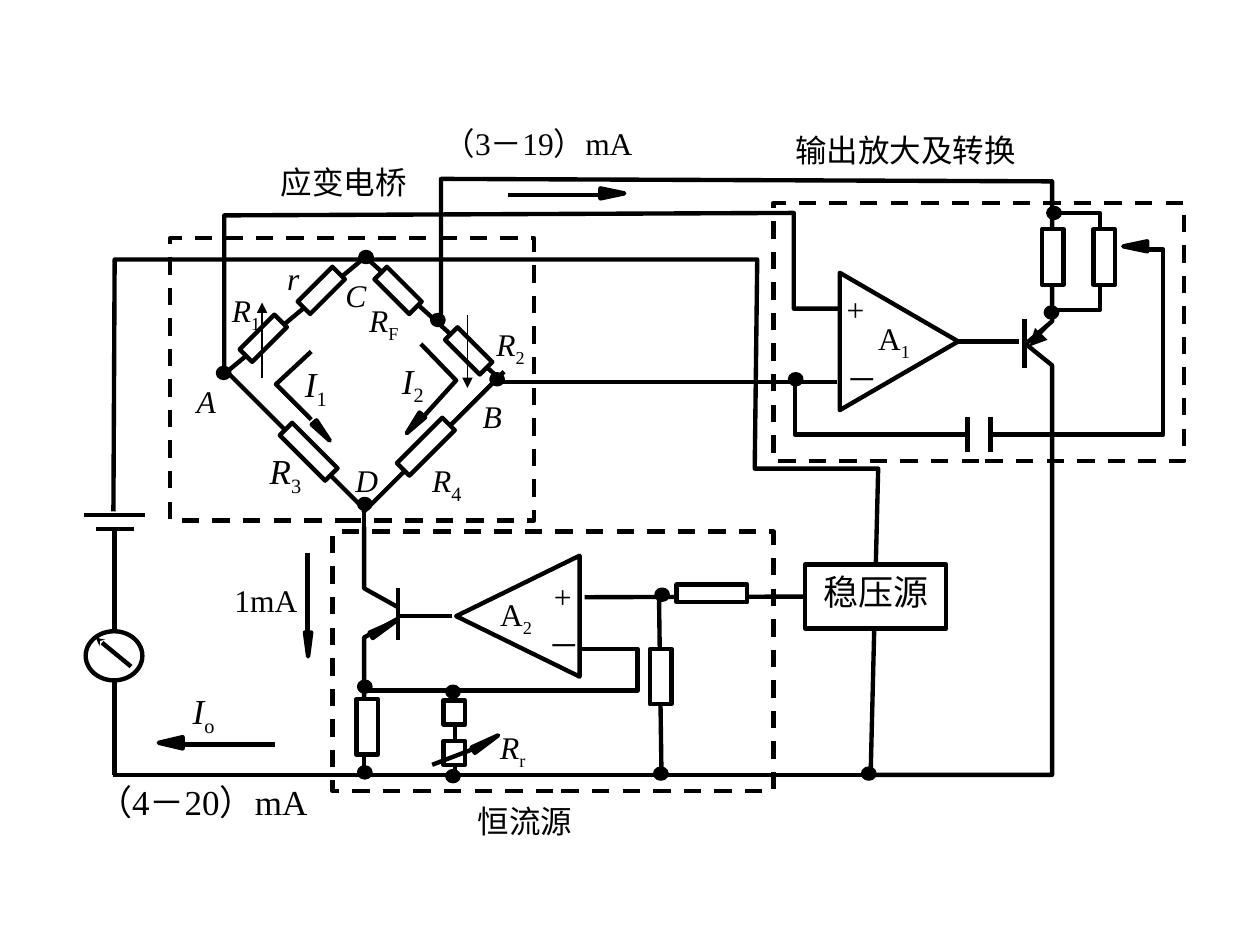
"""Draw the two-wire strain-bridge current transmitter circuit on one slide."""
from dataclasses import dataclass
from typing import NamedTuple, Optional

from pptx import Presentation
from pptx.dml.color import RGBColor
from pptx.enum.dml import MSO_LINE
from pptx.enum.shapes import MSO_CONNECTOR, MSO_SHAPE as Preset
from pptx.enum.text import MSO_ANCHOR, PP_ALIGN as Align
from pptx.oxml.ns import qn
from pptx.oxml.xmlchemy import OxmlElement
from pptx.util import Inches, Pt

BLACK = RGBColor(0, 0, 0)
WHITE = RGBColor(255, 255, 255)
FONT = "Times New Roman"
THICK, THIN = 2.5, 0.75


class Wire(NamedTuple):
    start: tuple
    end: tuple
    width: float = THICK
    head: str = ""
    head_size: str = "med"


class Part(NamedTuple):
    left: float
    top: float
    width: float
    height: float
    rotation: float = 0


@dataclass
class Label:
    left: float
    top: float
    width: float
    height: float
    text: str
    sub: str = ""
    size: float = 18
    italic: bool = False
    sub_size: Optional[float] = None
    align: Align = Align.JUSTIFY
    spacing: Optional[float] = None


def symbol(left: float, top: float, text: str, sub: str = "", width: float = 0.36,
           height: float = 0.34, **style) -> Label:
    return Label(left, top, width, height, text, sub, italic=True, **style)


def caption(left: float, top: float, width: float, text: str, size: float = 18) -> Label:
    return Label(left, top, width, 0.32, text, size=size, spacing=0.8)


TRACES = [
    [(8.41, 1.69), (8.73, 1.69), (8.73, 2.46), (8.37, 2.46)],
    [(3.5, 2.51), (3.5, 1.42), (8.35, 1.44), (8.35, 2.55), (8.14, 2.73), (8.35, 2.9),
     (8.35, 6.15), (6.91, 6.15), (6.97, 3.72), (5.99, 3.72), (6.01, 2.06), (0.91, 2.06),
     (0.9, 4.06)],
    [(6.66, 2.45), (6.3, 2.45), (6.3, 1.69), (1.78, 1.71), (1.78, 2.92)],
    [(4.62, 5.15), (5.06, 5.15), (5.06, 5.48), (2.89, 5.48), (2.89, 6.1)],
    [(2.89, 5.55), (2.89, 5.06), (3.16, 4.91)],
    [(2.89, 4.18), (2.89, 4.67), (3.16, 4.82)],
    [(6.31, 2.97), (6.31, 3.45), (9.23, 3.45), (9.23, 1.98), (9.03, 1.98)],
    [(3.34, 2.73), (3.62, 3.02), (3.34, 3.33)],
    [(2.47, 2.79), (2.19, 3.05), (2.47, 3.33)],
]
WIRES = [
    Wire((3.61, 5.47), (3.61, 6.16)), Wire((4, 2.95), (2.88, 4.07)),
    Wire((2.18, 5.91), (1.46, 5.91)), Wire((8.13, 2.53), (8.13, 2.92)),
    Wire((7.6, 2.71), (8.09, 2.71)), Wire((7.06, 6.15), (0.9, 6.15)),
    Wire((0.91, 6.15), (0.91, 5.37)), Wire((3.16, 5.08), (3.16, 4.67)),
    Wire((3.59, 4.89), (3.16, 4.89)), Wire((5.23, 4.72), (5.25, 6.15)),
    Wire((3.97, 3.03), (6.64, 3.03)), Wire((2.89, 3.96), (2.89, 4.23)),
    Wire((1.77, 2.92), (2.91, 4.06)), Wire((0.67, 4.09), (1.15, 4.09)),
    Wire((0.76, 4.2), (1.06, 4.2)), Wire((0.91, 4.2), (0.91, 5.01)),
    Wire((2.44, 4.39), (2.44, 5.01)), Wire((4.03, 1.55), (4.76, 1.55)),
    Wire((1.79, 2.96), (2.9, 2.04)), Wire((2.9, 2.04), (3.98, 3.02)),
]
SUPPLY_WIRE = Wire((4.64, 4.74), (6.39, 4.74))
OVERLAID_WIRES = [
    Wire((7.68, 3.59), (7.68, 3.31)), Wire((7.86, 3.59), (7.86, 3.31)),
    Wire((3.43, 6.07), (3.77, 5.94)),
    Wire((1.04, 5.29), (0.76, 5.06), head="stealth", head_size="sm"),
    Wire((2.08, 3), (2.08, 2.4), THIN, "triangle"),
    Wire((3.71, 2.5), (3.71, 3.08), THIN, "triangle"),
    Wire((8.33, 2.58), (8.17, 2.75), THIN, "triangle", "lg"),
]
SUPPLY = Part(6.39, 4.48, 1.12, 0.51)
METER = Part(0.68, 5.01, 0.45, 0.39)
CAPACITOR_GAP = Part(7.68, 3.25, 0.17, 0.44)
AMPLIFIERS = [Part(6.59, 2.24, 1.09, 0.94, 90), Part(3.63, 4.4, 0.96, 0.98, 270)]
STAGES = [Part(2.64, 4.22, 3.5, 2.06), Part(1.35, 1.89, 2.89, 2.24),
          Part(6.14, 1.61, 3.26, 2.05)]
RESISTORS = {
    (0.17, 0.44, 0): [(2.83, 5.55), (5.16, 5.15), (8.27, 1.82), (8.68, 1.82)],
    (0.17, 0.19, 0): [(3.52, 5.56), (3.52, 5.88)],
    (0.14, 0.56, 90): [(5.58, 4.43)],
    (0.14, 0.51, 45): [(3.31, 3.29)],
    (0.14, 0.51, 315): [(2.38, 3.33)],
    (0.14, 0.39, 45): [(2.02, 2.49), (2.48, 2.11)],
    (0.14, 0.39, 315): [(3.09, 2.11), (3.65, 2.59)],
}
ARROWHEADS = [
    Part(1.31, 5.8, 0.09, 0.19, 270), Part(8.97, 1.86, 0.08, 0.19, 270),
    Part(4.82, 1.44, 0.08, 0.19, 90), Part(2.42, 5.02, 0.05, 0.19, 180),
    Part(3.02, 4.87, 0.05, 0.23, 60), Part(3.83, 5.78, 0.05, 0.23, 59.4),
    Part(2.53, 3.33, 0.05, 0.19, 139.3), Part(3.26, 3.27, 0.06, 0.19, 220.7),
]
NODES = [
    (2.85, 6.09), (2.85, 5.41), (5.21, 4.68), (5.2, 6.1), (6.85, 6.1), (1.73, 2.92),
    (2.86, 2), (3.9, 2.97), (3.43, 2.5), (2.85, 3.96), (6.27, 2.97), (8.32, 1.65),
    (8.3, 2.44), (3.55, 5.45), (3.55, 6.12),
]
LABELS = [
    Label(6.72, 2.3, 0.37, 0.34, "+"), Label(6.72, 2.86, 0.37, 0.34, "－"),
    Label(4.27, 4.58, 0.39, 0.3, "+", align=Align.CENTER),
    Label(4.21, 4.97, 0.39, 0.3, "－", align=Align.RIGHT),
    symbol(1.84, 2.31, "R", "1"), symbol(3.94, 2.58, "R", "2"),
    symbol(2.14, 3.57, "R", "3", size=20), symbol(3.43, 3.63, "R", "4", sub_size=20),
    symbol(2.93, 2.39, "R", "F"), symbol(3.97, 5.78, "R", "r"), symbol(2.28, 2.06, "r"),
    *(symbol(left, top, corner, width=0.31, height=0.32) for corner, left, top in
      [("A", 1.56, 3.03), ("C", 2.74, 2.19), ("B", 3.83, 3.15), ("D", 2.82, 3.66)]),
    *(symbol(left, top, "I", sub, 0.33, 0.39, size=20) for sub, left, top in
      [("o", 1.53, 5.47), ("1", 2.42, 2.88), ("2", 3.19, 2.85)]),
    Label(6.97, 2.53, 0.31, 0.32, "A", "1"), Label(3.97, 4.72, 0.31, 0.32, "A", "2"),
    Label(1.86, 4.61, 0.65, 0.39, "1mA"),
    caption(6.31, 1.1, 2.12, "输出放大及转换"), caption(2.23, 1.35, 1.3, "应变电桥"),
    caption(3.52, 1.04, 1.85, "（3－19）mA"), caption(0.77, 6.26, 1.85, "（4－20）mA", 20),
    caption(3.79, 6.42, 1.3, "恒流源"),
]


def style_outline(shape, fill: Optional[RGBColor], line: RGBColor = BLACK) -> None:
    if fill is None:
        shape.fill.background()
    else:
        shape.fill.solid()
        shape.fill.fore_color.rgb = fill
    shape.line.color.rgb = line
    shape.line.width = Pt(THICK)
    shape.shadow.inherit = False


def add_part(slide, preset: Preset, part: Part, fill: Optional[RGBColor] = None,
             line: RGBColor = BLACK):
    shape = slide.shapes.add_shape(preset, *map(Inches, part[:4]))
    shape.rotation = part.rotation
    style_outline(shape, fill, line)
    return shape


def add_trace(slide, points: list) -> None:
    corners = [(Inches(x), Inches(y)) for x, y in points]
    builder = slide.shapes.build_freeform(*corners[0])
    builder.add_line_segments(corners[1:], close=False)
    style_outline(builder.convert_to_shape(), None)


def add_wire(slide, wire: Wire):
    connector = slide.shapes.add_connector(
        MSO_CONNECTOR.STRAIGHT, *map(Inches, (*wire.start, *wire.end)))
    connector.line.color.rgb = BLACK
    connector.line.width = Pt(wire.width)
    properties = connector._element.spPr
    if wire.head:
        tail = OxmlElement("a:tailEnd")
        for key, value in zip(("type", "w", "len"), (wire.head, *[wire.head_size] * 2)):
            tail.set(key, value)
        properties.find(qn("a:ln")).append(tail)
    properties.append(OxmlElement("a:effectLst"))
    return connector


def write_text(frame, text: str, *, sub: str = "", size: float = 18, italic: bool = False,
               sub_size: Optional[float] = None, align: Align = Align.JUSTIFY,
               spacing: Optional[float] = None) -> None:
    frame.word_wrap = True
    frame.vertical_anchor = MSO_ANCHOR.TOP
    paragraph = frame.paragraphs[0]
    paragraph.alignment = align
    paragraph.line_spacing = spacing
    for words, points, slanted in ((text, size, italic), (sub, sub_size or size, False)):
        if words:
            run = paragraph.add_run()
            run.text = words
            run.font.name, run.font.size, run.font.italic = FONT, Pt(points), slanted
            run.font.color.rgb = BLACK
    if sub:
        run._r.get_or_add_rPr().set("baseline", "-25000")


def add_label(slide, label: Label) -> None:
    frame = slide.shapes.add_textbox(
        *map(Inches, (label.left, label.top, label.width, label.height))).text_frame
    frame.margin_left = frame.margin_right = frame.margin_top = frame.margin_bottom = 0
    write_text(frame, label.text, sub=label.sub, size=label.size, italic=label.italic,
               sub_size=label.sub_size, align=label.align, spacing=label.spacing)


def main() -> None:
    deck = Presentation()
    deck.slide_width, deck.slide_height = Inches(10), Inches(7.5)
    slide = deck.slides.add_slide(deck.slide_layouts[6])
    for points in TRACES:
        add_trace(slide, points)
    supply = add_part(slide, Preset.RECTANGLE, SUPPLY, WHITE)
    write_text(supply.text_frame, "稳压源", size=20, align=Align.CENTER)
    add_wire(slide, SUPPLY_WIRE).end_connect(supply, 1)
    for wire in WIRES:
        add_wire(slide, wire)
    for amplifier in AMPLIFIERS:
        add_part(slide, Preset.ISOSCELES_TRIANGLE, amplifier)
    for (width, height, rotation), places in RESISTORS.items():
        for place in places:
            add_part(slide, Preset.RECTANGLE, Part(*place, width, height, rotation), WHITE)
    add_part(slide, Preset.OVAL, METER, WHITE)
    add_part(slide, Preset.RECTANGLE, CAPACITOR_GAP, WHITE, WHITE)
    for arrowhead in ARROWHEADS:
        add_part(slide, Preset.ISOSCELES_TRIANGLE, arrowhead, BLACK)
    for node in NODES:
        add_part(slide, Preset.OVAL, Part(*node, 0.09, 0.08), BLACK)
    for stage in STAGES:
        add_part(slide, Preset.RECTANGLE, stage).line.dash_style = MSO_LINE.DASH
    for wire in OVERLAID_WIRES:
        add_wire(slide, wire)
    for label in LABELS:
        add_label(slide, label)
    deck.save("out.pptx")


if __name__ == "__main__":
    main()
